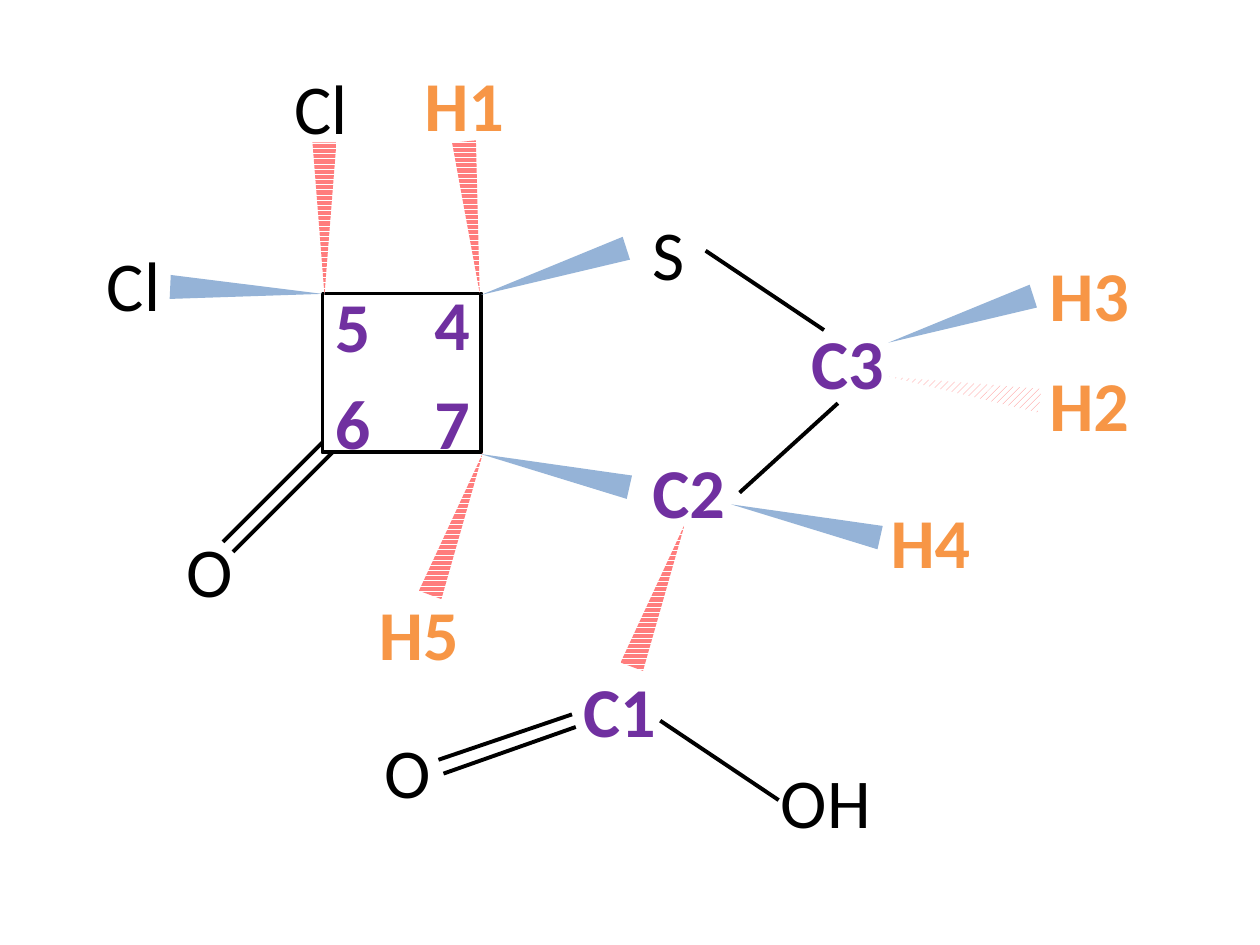
from dataclasses import dataclass

from lxml.etree import SubElement
from pptx import Presentation
from pptx.dml.color import RGBColor as Rgb
from pptx.enum.dml import MSO_PATTERN as Pat
from pptx.enum.shapes import MSO_CONNECTOR as Link, MSO_SHAPE as Kind
from pptx.enum.text import MSO_AUTO_SIZE as Fit
from pptx.oxml.ns import qn
from pptx.util import Inches, Pt


@dataclass(frozen=True)
class Theme:
    ink: str = "000000"
    carbon: str = "7030A0"
    proton: str = "F79646"
    front: str = "95B3D7"
    back: str = "FF7D7D"
    paper: str = "FFFFFF"
    font: str = "Calibri"
    size: float = 40
    line: float = 2.25


@dataclass(frozen=True)
class Box:
    x: float
    y: float
    w: float
    h: float

    def at(self, dx, dy):
        return Inches(self.x + dx), Inches(self.y + dy)


THEME = Theme()
LABEL = Inches(1.1), Inches(0.77)
WEDGE = Inches(0.19), Inches(1.21)


def color(name):
    return Rgb.from_string(name)


def write(group, spot, text, tint=THEME.ink, bold=False):
    frame = group.shapes.add_textbox(*spot, *LABEL).text_frame
    frame.word_wrap = True
    frame.auto_size = Fit.SHAPE_TO_FIT_TEXT
    run = frame.paragraphs[0].add_run()
    run.text = text
    font = run.font
    font.name, font.size, font.bold = THEME.font, Pt(THEME.size), bold
    font.color.rgb = color(tint)


def label(group, box, atoms, **style):
    for text, dx, dy in atoms:
        write(group, box.at(dx, dy), text, **style)


def bond(group, box, lines):
    for x1, y1, x2, y2 in lines:
        line = group.shapes.add_connector(
            Link.STRAIGHT, *box.at(x1, y1), *box.at(x2, y2))
        line.line.color.rgb = color(THEME.ink)
        line.line.width = Pt(THEME.line)
        SubElement(line._element.spPr, qn("a:effectLst"))


def wedge(group, box, places, hatch=None):
    for dx, dy, turn in places:
        shape = group.shapes.add_shape(
            Kind.ISOSCELES_TRIANGLE, *box.at(dx, dy), *WEDGE)
        shape.rotation = turn
        shape.shadow.inherit = False
        shape.line.fill.background()
        fill = shape.fill
        if hatch is None:
            fill.solid()
            fill.fore_color.rgb = color(THEME.front)
        else:
            fill.patterned()
            fill.pattern = hatch
            fill.fore_color.rgb = color(THEME.back)
            fill.back_color.rgb = color(THEME.paper)


def draw_square(group, box):
    frame = group.shapes.add_shape(
        Kind.RECTANGLE, *box.at(0, 0), Inches(box.w), Inches(box.h))
    frame.shadow.inherit = False
    frame.fill.background()
    frame.line.color.rgb = color(THEME.ink)
    frame.line.width = Pt(THEME.line)
    wedge(group, box, [(-0.7, -0.63, 92.6), (1.74, -0.78, 252.2),
                       (1.75, 0.8, 282.6)])
    wedge(group, box, [(-0.08, -1.2, 180), (1.09, -1.21, 174.1),
                       (0.97, 1.22, 20.4)], Pat.DARK_HORIZONTAL)
    bond(group, box, [(-0.79, 1.97, 0, 1.18), (-0.71, 2.05, 0.08, 1.26)])
    label(group, box, [("Cl", -0.32, -1.87), ("Cl", -1.81, -0.46),
                       ("O", -1.18, 1.81)])
    label(group, box, [("H1", 0.71, -1.89), ("H5", 0.35, 2.31)],
          tint=THEME.proton, bold=True)
    label(group, box, [("5", 0, -0.14), ("4", 0.79, -0.15),
                       ("6", 0, 0.63), ("7", 0.79, 0.63)],
          tint=THEME.carbon, bold=True)


def draw_ring(group, box):
    wedge(group, box, [(2.45, 0.31, 252.2), (1.22, 1.91, 282.6)])
    wedge(group, box, [(2.48, 0.86, 279)], Pat.WIDE_UPWARD_DIAGONAL)
    wedge(group, box, [(0.05, 2.5, 20.4)], Pat.DARK_HORIZONTAL)
    bond(group, box, [(0.52, 0.37, 1.46, 1), (0.79, 2.29, 1.57, 1.58)])
    label(group, box, [("S", 0, 0)])
    label(group, box, [("C2", 0, 1.89), ("C3", 1.26, 0.87)],
          tint=THEME.carbon, bold=True)
    label(group, box, [("H3", 3.15, 0.33), ("H2", 3.15, 1.2),
                       ("H4", 1.89, 2.29)], tint=THEME.proton, bold=True)


def draw_acid(group, box):
    bond(group, box, [(2.29, 0.47, 3.23, 1.1), (0.53, 0.78, 1.59, 0.42),
                      (0.57, 0.89, 1.62, 0.52)])
    label(group, box, [("C1", 1.58, 0)], tint=THEME.carbon, bold=True)
    label(group, box, [("OH", 3.15, 0.72), ("O", 0, 0.48)])


def main():
    deck = Presentation()
    deck.slide_width, deck.slide_height = Inches(10), Inches(7.5)
    slide = deck.slides.add_slide(deck.slide_layouts[6])
    group = slide.shapes.add_group_shape()
    draw_ring(group, Box(5.08, 1.62, 4.25, 3.06))
    draw_acid(group, Box(2.95, 5.25, 4.25, 1.49))
    draw_square(group, Box(2.56, 2.33, 1.26, 1.26))
    deck.save("out.pptx")


if __name__ == "__main__":
    main()
